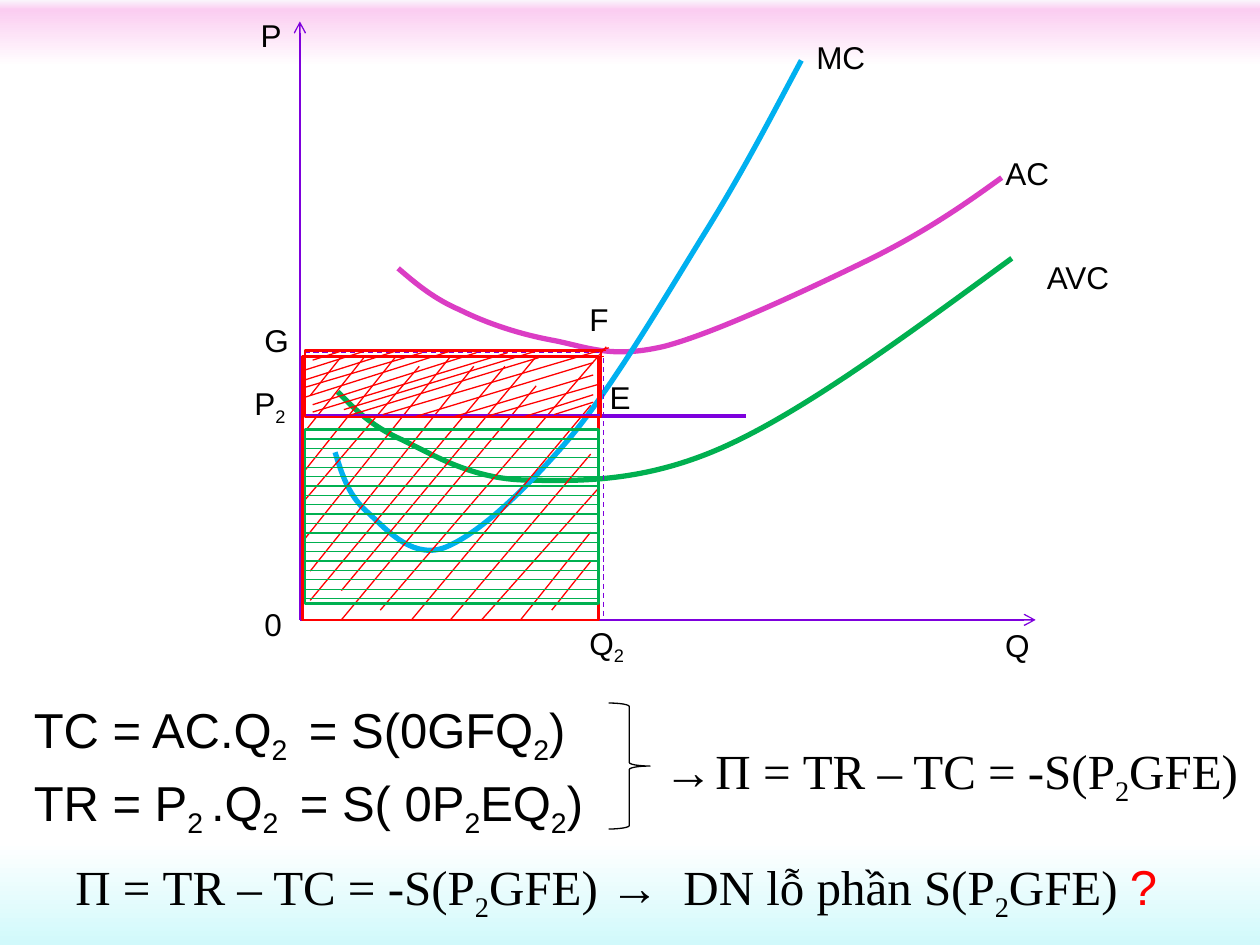
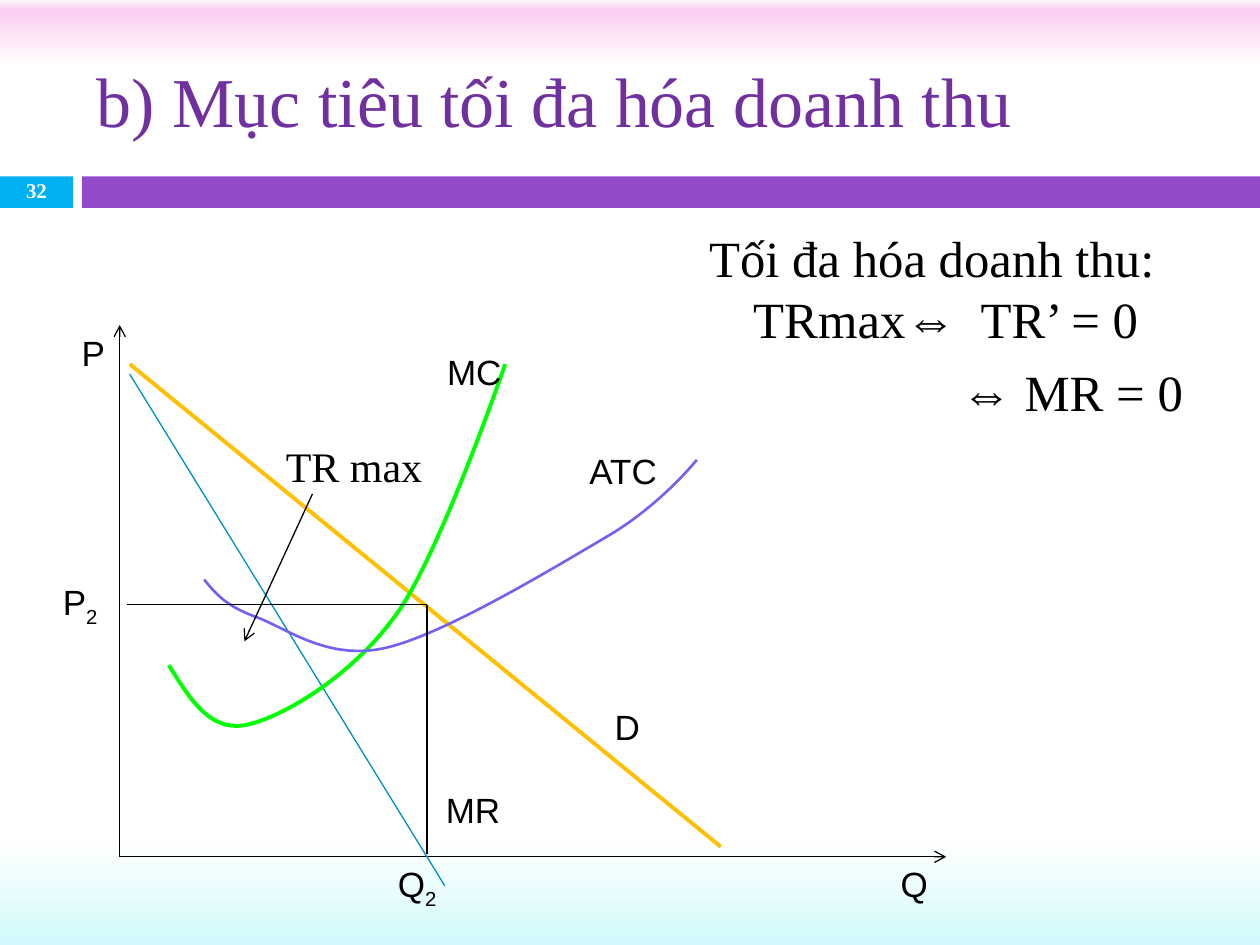
from lxml import etree
from pptx import Presentation
from pptx.dml.color import RGBColor
from pptx.enum.dml import MSO_LINE
from pptx.enum.shapes import MSO_CONNECTOR, MSO_SHAPE
from pptx.enum.text import MSO_ANCHOR, MSO_AUTO_SIZE, PP_ALIGN
from pptx.oxml.ns import qn
from pptx.util import Inches, Pt

STRAIGHT = MSO_CONNECTOR.STRAIGHT
RECT, BRACE = MSO_SHAPE.RECTANGLE, MSO_SHAPE.RIGHT_BRACE
TOP, MIDDLE = MSO_ANCHOR.TOP, MSO_ANCHOR.MIDDLE
CENTER, DASH = PP_ALIGN.CENTER, MSO_LINE.DASH
FIT, NO_FIT = MSO_AUTO_SIZE.SHAPE_TO_FIT_TEXT, MSO_AUTO_SIZE.NONE

SANS, SERIF = "Arial", "Times New Roman"
COLORS = {
    "black": "000000", "white": "FFFFFF", "red": "FF0000", "axis": "7E00DD",
    "avc": "00B050", "ac": "DB3DC4", "mc": "00B0F0", "title": "7030A0",
    "band": "934BC9", "demand": "FFC000", "mr": "008DC0",
    "mc_bright": "00FF00", "atc": "7561ED",
}
BACKGROUND = [(0, "FAF6FC"), (1, "FBCDF1"), (7, "FFFFFF"), (89, "FFFFFF"), (100, "D1F9FB")]

# Hatching strokes on a grid laid over the hatched rectangle: x1, y1, x2, y2
HATCH_COLS, HATCH_ROWS = 38, 27
HATCH = [
    (37, 5, 14, 27), (39, -1, 10, 26), (26, 1, 1, 25), (37, 10, 19, 27),
    (38, 13.5, 23, 27), (37, 18, 28, 27), (37, 21, 32, 26), (19, 0, 0, 19),
    (5, 0, 1, 4), (8, 0, 0, 8), (12, 0, 0, 12), (15, 1, 0, 15),
    (22, 1, 1, 22), (30, 0, 5, 24), (30, 3, 5, 27),
]


def rgb(name):
    return RGBColor.from_string(COLORS[name])


class Deck:
    def __init__(self):
        self.prs = Presentation()
        self.prs.slide_width, self.prs.slide_height = Inches(10), Inches(7.5)
        self.s = None

    def new_slide(self):
        self.s = self.prs.slides.add_slide(self.prs.slide_layouts[6])
        fill = self.s.background.fill
        fill.gradient()
        fill.gradient_angle = 270
        stops = next(self.s.element.iter(qn("a:gsLst")))
        for stop in list(stops):
            stops.remove(stop)
        for pos, color in BACKGROUND:
            gs = etree.SubElement(stops, qn("a:gs"), pos=str(pos * 1000))
            etree.SubElement(gs, qn("a:srgbClr"), val=color)

    def stroke(self, line, color, width):
        line.color.rgb = rgb(color)
        line.width = Pt(width)

    def shape(self, kind, box, fill=None, line=None, width=0.75):
        sp = self.s.shapes.add_shape(kind, *map(Inches, box))
        sp.shadow.inherit = False
        if fill:
            sp.fill.solid()
            sp.fill.fore_color.rgb = rgb(fill)
        else:
            sp.fill.background()
        if line:
            self.stroke(sp.line, line, width)
        else:
            sp.line.fill.background()

    def line(self, x1, y1, x2, y2, color="black", width=0.75, dash=False, arrow=False):
        cx = self.s.shapes.add_connector(STRAIGHT, *map(Inches, (x1, y1, x2, y2)))
        self.stroke(cx.line, color, width)
        if dash:
            cx.line.dash_style = DASH
        if arrow:
            etree.SubElement(cx.line._get_or_add_ln(), qn("a:tailEnd"), type="arrow")
        etree.SubElement(cx._element.spPr, qn("a:effectLst"))

    def curve(self, points, color, width):
        """Draw a Bezier chain: a start point, then three points per segment."""
        pts = [(Inches(x), Inches(y)) for x, y in points]
        fb = self.s.shapes.build_freeform(*pts[0])
        fb.add_line_segments(pts[1:], close=False)
        sp = fb.convert_to_shape()
        sp.shadow.inherit = False
        sp.fill.background()
        self.stroke(sp.line, color, width)
        path = next(sp._element.iter(qn("a:path")))
        steps = path.findall(qn("a:lnTo"))
        for i in range(0, len(steps), 3):
            bezier = etree.SubElement(path, qn("a:cubicBezTo"))
            for step in steps[i:i + 3]:
                bezier.append(step[0])
                path.remove(step)

    def runs(self, p, marked, size, font=SANS, color="black", bold=False):
        """Add runs; every second piece between bars is a subscript."""
        for i, piece in enumerate(marked.split("|")):
            if not piece:
                continue
            r = p.add_run()
            r.text = piece
            formats = {"size": Pt(size), "name": font, "bold": bold}
            for key, value in formats.items():
                setattr(r.font, key, value)
            r.font.color.rgb = rgb(color)
            if i % 2:
                r._r.get_or_add_rPr().set("baseline", "-25000")

    def text(self, box, marked, size, wrap=False, anchor=TOP, fit=FIT, **style):
        tf = self.s.shapes.add_textbox(*map(Inches, box)).text_frame
        formats = {"word_wrap": wrap, "vertical_anchor": anchor, "auto_size": fit}
        for key, value in formats.items():
            setattr(tf, key, value)
        p = tf.paragraphs[0]
        self.runs(p, marked, size, **style)
        return tf

    def labels(self, items, size, height):
        for x, y, width, marked in items:
            self.text((x, y, width, height), marked, size)

    def hatched(self, x, y, w, h):
        self.line(x + w + 0.04, y, x, y, "red", dash=True)
        self.shape(RECT, (x, y, w, h), line="red", width=1.5)
        dx, dy = w / HATCH_COLS, h / HATCH_ROWS
        for x1, y1, x2, y2 in HATCH:
            self.line(x + x1 * dx, y + y1 * dy, x + x2 * dx, y + y2 * dy, "red")

    def striped(self, x, y, w, h, count):
        self.shape(RECT, (x, y, w, h), line="avc", width=1.5)
        for i in range(1, count + 1):
            level = y + i * 0.0745
            self.line(x, level, x + w, level, "avc")

    def axes(self, x, y, top, right, color):
        self.line(x, y, x, top, color, arrow=True)
        self.line(x, y, right, y, color, arrow=True)

    def title_band(self, title, number):
        self.shape(RECT, (0, 1.35, 10, 0.35), "white")
        self.shape(RECT, (0, 1.4, 0.58, 0.25), "mc")
        self.shape(RECT, (0.65, 1.4, 9.35, 0.25), "band")
        self.text((0.67, 0.25, 8.92, 1.08), title, 40, True, MIDDLE, NO_FIT,
                  font=SERIF, color="title")
        tf = self.text((0, 1.39, 0.58, 0.27), number, 12, True, MIDDLE, NO_FIT,
                       font=SERIF, color="white", bold=True)
        p = tf.paragraphs[0]
        p.alignment, p.line_spacing = CENTER, 0.8


def loss_slide(d):
    d.new_slide()
    d.text((0.17, 5.5, 4.51, 0.57), "TC = AC.Q|2 | = S(0GFQ|2|)", 28)
    d.text((0.17, 6.08, 5, 0.57), "TR = P|2 |.Q|2 | = S( 0P|2|EQ|2|)", 28, True)
    d.text((5.58, 5.83, 4.42, 0.57), "Π = TR – TC = -S(P|2|GFE)", 28, True, font=SERIF)

    d.axes(2.38, 4.92, 0.17, 8.22, "axis")
    d.curve([(2.68, 3.11), (2.81, 3.24), (2.94, 3.38), (3.19, 3.49),
             (3.44, 3.61), (3.74, 3.8), (4.17, 3.81),
             (4.6, 3.82), (5.12, 3.83), (5.76, 3.54),
             (6.4, 3.25), (7.21, 2.65), (8.03, 2.05)], "avc", 3)
    d.curve([(3.16, 2.13), (3.3, 2.25), (3.44, 2.37), (3.65, 2.46),
             (3.85, 2.56), (4.11, 2.65), (4.38, 2.7),
             (4.65, 2.75), (4.84, 2.85), (5.27, 2.75),
             (5.69, 2.64), (6.47, 2.27), (6.92, 2.05),
             (7.36, 1.83), (7.66, 1.62), (7.95, 1.41)], "ac", 3)
    d.curve([(2.66, 3.59), (2.71, 3.75), (2.76, 3.92), (2.9, 4.05),
             (3.04, 4.17), (3.25, 4.44), (3.52, 4.35),
             (3.79, 4.25), (4.17, 3.89), (4.52, 3.48),
             (4.87, 3.06), (5.29, 2.34), (5.6, 1.84),
             (5.91, 1.34), (6.13, 0.91), (6.36, 0.48)], "mc", 3)

    d.shape(BRACE, (4.83, 5.58, 0.33, 1), line="black")
    d.text((5.17, 5.83, 0.58, 0.57), "→", 28, True, font=SERIF)

    d.hatched(2.4, 2.83, 2.35, 2.09)
    d.striped(2.42, 3.41, 2.33, 1.38, 18)
    d.line(4.79, 2.84, 4.79, 4.93, "axis", dash=True)
    d.line(5.92, 3.3, 2.42, 3.3, "axis", 2.25)
    d.line(4.75, 2.8, 2.42, 2.8, "axis", dash=True)
    d.labels([(8.21, 2, 0.7, "AVC"), (7.88, 1.17, 0.55, "AC"), (6.38, 0.25, 0.59, "MC"),
              (7.88, 4.92, 0.4, "Q"), (1.97, 0.08, 0.37, "P"), (2, 4.75, 0.34, "0"),
              (1.92, 3, 0.46, "P|2"), (4.58, 4.9, 0.49, "Q|2"), (4.74, 2.95, 0.38, "E"),
              (4.58, 2.33, 0.36, "F"), (2, 2.5, 0.4, "G")], 18, 0.4)
    d.hatched(2.42, 2.78, 2.35, 0.53)

    tf = d.text((0.5, 6.75, 9.5, 0.57),
                "Π = TR – TC = -S(P|2|GFE) →  DN lỗ phần S(P|2|GFE) ", 28, True, font=SERIF)
    d.runs(tf.paragraphs[0], "?", 28, color="red")


def revenue_slide(d):
    d.new_slide()
    d.title_band("b) Mục tiêu tối đa hóa doanh thu", "32")

    tf = d.text((5.53, 1.75, 4.06, 4.92), "Tối đa hóa doanh thu: TRmax⇔  TR’ = 0",
                29, True, fit=NO_FIT, font=SERIF)
    p = tf.add_paragraph()
    p.space_before = Pt(7)
    d.runs(p, "⇔ MR = 0", 29, font=SERIF)
    for p, left, first in zip(tf.paragraphs, (0.35, 2), (-0.35, 0)):
        pPr = p._p.get_or_add_pPr()
        pPr.set("marL", str(Inches(left)))
        pPr.set("indent", str(Inches(first)))

    d.axes(0.95, 6.8, 2.58, 7.51, "black")
    d.line(1.03, 2.89, 5.72, 6.72, "demand", 2.25)
    d.line(1.03, 2.97, 3.53, 7.03, "mr")
    d.curve([(1.34, 5.28), (1.51, 5.55), (1.67, 5.82), (1.97, 5.75),
             (2.27, 5.68), (2.81, 5.35), (3.15, 4.87),
             (3.49, 4.4), (4.01, 2.89), (4.01, 2.89)], "mc_bright", 2.25)
    d.curve([(1.62, 4.6), (1.71, 4.71), (1.79, 4.81), (2.04, 4.9),
             (2.28, 4.99), (2.61, 5.25), (3.07, 5.14),
             (3.54, 5.03), (4.44, 4.48), (4.85, 4.24),
             (5.26, 3.99), (5.53, 3.65), (5.53, 3.65)], "atc", 1.5)
    d.line(3.39, 4.8, 3.39, 6.78)
    d.line(3.39, 4.8, 1.01, 4.8)
    d.labels([(4.78, 5.55, 0.4, "D"), (3.44, 6.21, 0.64, "MR"), (4.58, 3.52, 0.74, "ATC"),
              (3.45, 2.73, 0.64, "MC"), (7.05, 6.8, 0.42, "Q"), (0.55, 2.58, 0.38, "P"),
              (3.06, 6.8, 0.52, "Q|2"), (0.4, 4.56, 0.49, "P|2")], 20, 0.44)
    d.text((2.17, 3.45, 1.3, 0.51), "TR max", 24, font=SERIF)
    d.line(2.48, 3.92, 1.94, 5.09, arrow=True)


def main():
    d = Deck()
    loss_slide(d)
    revenue_slide(d)
    d.prs.save("out.pptx")


if __name__ == "__main__":
    main()
